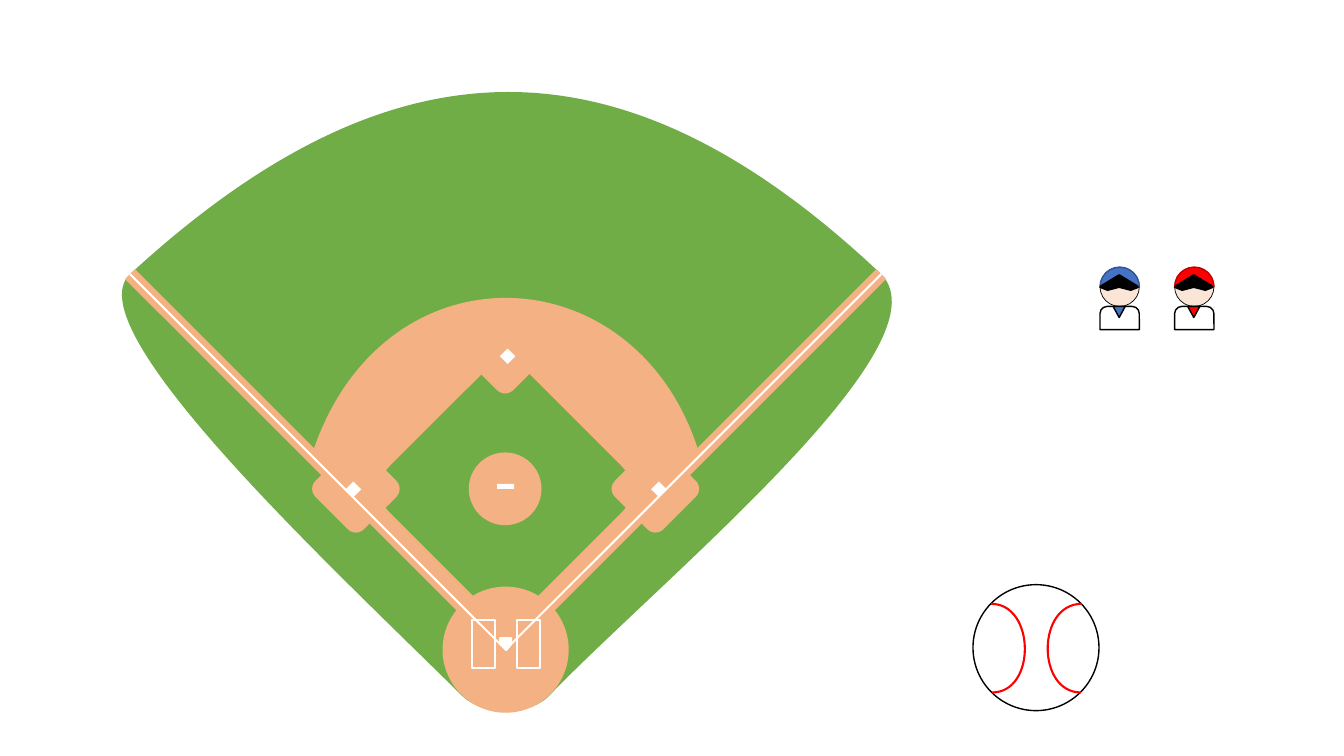
from math import cos, radians, sin

from lxml import etree
from pptx import Presentation
from pptx.dml.color import RGBColor
from pptx.enum.shapes import MSO_CONNECTOR, MSO_SHAPE
from pptx.oxml.ns import qn
from pptx.util import Inches, Pt

STRAIGHT = MSO_CONNECTOR.STRAIGHT
RECTANGLE, ROUNDED, OVAL = MSO_SHAPE.RECTANGLE, MSO_SHAPE.ROUNDED_RECTANGLE, MSO_SHAPE.OVAL
SHIRT, TRIANGLE, CHORD = MSO_SHAPE.ROUND_2_SAME_RECTANGLE, MSO_SHAPE.ISOSCELES_TRIANGLE, MSO_SHAPE.CHORD

GRASS = RGBColor(0x70, 0xAD, 0x47)
DIRT = RGBColor(0xF4, 0xB1, 0x83)
WHITE = RGBColor(0xFF, 0xFF, 0xFF)
BLACK = RGBColor(0, 0, 0)
SKIN = RGBColor(0xFB, 0xE5, 0xD6)
BLUE = RGBColor(0x44, 0x72, 0xC4)
DARK_BLUE = RGBColor(0x32, 0x54, 0x91)
RED = RGBColor(0xFF, 0, 0)
DARK_RED = RGBColor(0xC0, 0, 0)


class Drawing:
    """Draws into the current group of the slide."""

    def __init__(self, slide):
        self.slide = slide
        self.start_group()

    def start_group(self):
        self.shapes = self.slide.shapes.add_group_shape().shapes

    def paint(self, shape, fill, line, width):
        shape.shadow.inherit = False
        if fill is None:
            shape.fill.background()
        else:
            shape.fill.solid()
            shape.fill.fore_color.rgb = fill
        if line is None:
            shape.line.fill.background()
        else:
            shape.line.color.rgb = line
            shape.line.width = Pt(width)

    def shape(self, kind, left, top, width, height, fill=None, line=None,
              weight=1, turn=0, adjust=()):
        shape = self.shapes.add_shape(kind, Inches(left), Inches(top), Inches(width), Inches(height))
        shape.rotation = turn
        for index, value in enumerate(adjust):
            shape.adjustments[index] = value
        self.paint(shape, fill, line, weight)

    def outline(self, frame, start, *segments, turn=0, fill=None, line=None, weight=1):
        """Each segment is one point (line) or three points (curve), as seen on the slide."""
        left, top, width, height = frame
        angle = radians(-turn)

        def local(point):
            x, y = point[0] - left - width / 2, point[1] - top - height / 2
            return (Inches(x * cos(angle) - y * sin(angle) + width / 2),
                    Inches(x * sin(angle) + y * cos(angle) + height / 2))

        # A rectangle of the frame's size, whose path is then replaced
        builder = self.shapes.build_freeform(Inches(left), Inches(top))
        builder.add_line_segments([(Inches(left + width), Inches(top)),
                                   (Inches(left + width), Inches(top + height)),
                                   (Inches(left), Inches(top + height))])
        shape = builder.convert_to_shape()
        route = next(shape._element.iter(qn("a:path")))
        for step in list(route):
            route.remove(step)
        for index, points in enumerate(((start,),) + segments):
            tag = "a:moveTo" if index == 0 else "a:cubicBezTo" if len(points) == 3 else "a:lnTo"
            step = etree.SubElement(route, qn(tag))
            for point in points:
                x, y = local(point)
                etree.SubElement(step, qn("a:pt"), x=str(x), y=str(y))
        if fill is not None:
            etree.SubElement(route, qn("a:close"))
        shape.rotation = turn
        self.paint(shape, fill, line, weight)

    def line(self, start, end, color, weight):
        connector = self.shapes.add_connector(STRAIGHT, *map(Inches, start + end))
        connector.line.color.rgb = color
        connector.line.width = Pt(weight)
        etree.SubElement(connector._element.spPr, qn("a:effectLst"))


deck = Presentation()
deck.slide_width, deck.slide_height = Inches(13.33), Inches(7.5)
drawing = Drawing(deck.slides.add_slide(deck.slide_layouts[6]))

# Outfield and infield
LEFT_POLE, RIGHT_POLE = (1.29, 2.72), (8.74, 2.72)
drawing.outline((2.07, 0.22, 5.91, 5.94), (4.59, 6.91),
                ((3.32, 5.65), (0.72, 3.25), LEFT_POLE),
                ((3.92, 0.3), (6.2, 0.32), RIGHT_POLE),
                ((9.43, 3.42), (6.54, 5.76), (5.43, 6.92)),
                ((5.21, 7.11), (4.8, 7.1), (4.59, 6.91)), turn=315, fill=GRASS)
drawing.outline((3.52, 2.8, 3, 3.01), (5.02, 6.42),
                ((4.34, 5.73), (3.78, 5.18), (3.1, 4.49)),
                ((3.8, 2.39), (6.31, 2.5), (6.93, 4.48)),
                ((5.02, 6.42),), turn=315, fill=DIRT)
drawing.shape(ROUNDED, 4.04, 3.88, 1.95, 1.95, GRASS, turn=45)

# Dirt paths, base cutouts, mound and home circle
drawing.line((4.59, 6.02), LEFT_POLE, DIRT, 10)
drawing.line(RIGHT_POLE, (5.44, 6.02), DIRT, 10)
for left, top in ((4.67, 3.13), (6.16, 4.51), (3.19, 4.51)):
    drawing.shape(ROUNDED, left, top, 0.68, 0.68, DIRT, turn=45)
for left, top, size in ((4.67, 4.51, 0.68), (4.41, 5.84, 1.21)):
    drawing.shape(OVAL, left, top, size, size, DIRT, DIRT, 3)

# Foul lines, bases and pitcher's plate
drawing.line(RIGHT_POLE, (5.07, 6.39), WHITE, 1.5)
drawing.line(LEFT_POLE, (4.96, 6.39), WHITE, 1.5)
for left, top in ((6.48, 4.8), (3.45, 4.8), (4.98, 3.48)):
    drawing.shape(RECTANGLE, left, top, 0.11, 0.11, WHITE, turn=45)
drawing.shape(RECTANGLE, 4.93, 4.8, 0.17, 0.05, WHITE)

# Home plate and batter's boxes
drawing.outline((4.96, 6.33, 0.11, 0.12), (5.07, 6.39),
                ((5.02, 6.45),), ((4.96, 6.39),),
                ((4.96, 6.37), (4.96, 6.35), (4.96, 6.33)), ((5.07, 6.33),),
                ((5.07, 6.35), (5.07, 6.37), (5.07, 6.39)),
                turn=180, fill=WHITE, line=WHITE, weight=1.5)
for left in (5.13, 4.68):
    drawing.shape(RECTANGLE, left, 6.15, 0.23, 0.48, line=WHITE, weight=1.5)

# Players
for left, team, cap_edge in ((10.91, BLUE, DARK_BLUE), (11.65, RED, DARK_RED)):
    drawing.start_group()
    drawing.shape(OVAL, left, 2.65, 0.39, 0.39, SKIN, BLACK, 0.5)
    drawing.shape(SHIRT, left, 3.04, 0.39, 0.23, WHITE, BLACK, adjust=(0.31, 0))
    drawing.shape(TRIANGLE, left + 0.13, 3.04, 0.12, 0.11, team, BLACK, turn=180)
    drawing.shape(CHORD, left, 2.65, 0.39, 0.39, team, cap_edge, turn=90,
                  adjust=(53.52, 162))
    drawing.shape(TRIANGLE, left + 0.01, 2.73, 0.36, 0.11, BLACK, BLACK, 1.5)
    for offset, peak in ((0, 0.61), (0.19, 0.39)):
        drawing.shape(TRIANGLE, left + offset, 2.85, 0.19, 0.03, BLACK, BLACK,
                      turn=180, adjust=(peak,))

# Ball with its seams
drawing.start_group()
drawing.shape(OVAL, 9.65, 5.8, 1.25, 1.25, WHITE, BLACK)
drawing.outline((9.83, 5.99, 0.34, 0.88), (9.83, 5.99),
                ((10.27, 5.99), (10.28, 6.87), (9.84, 6.87)), line=RED, weight=1.5)
drawing.outline((10.39, 5.99, 0.34, 0.88), (10.73, 5.99),
                ((10.28, 5.99), (10.28, 6.87), (10.72, 6.87)), line=RED, weight=1.5)

deck.save("out.pptx")
